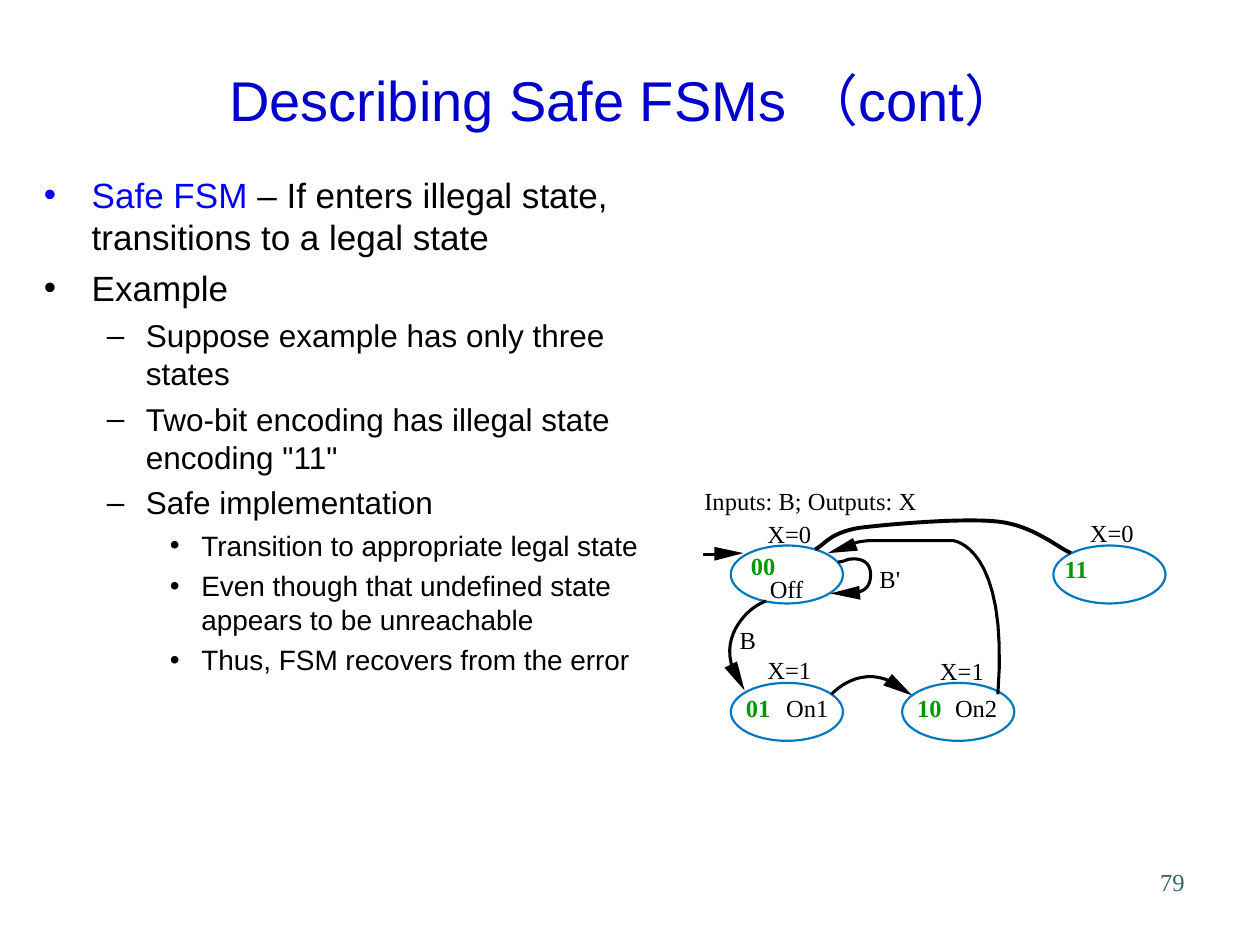
from dataclasses import dataclass

from lxml import etree
from pptx import Presentation
from pptx.dml.color import RGBColor
from pptx.enum.shapes import MSO_CONNECTOR, MSO_SHAPE
from pptx.enum.text import MSO_ANCHOR, PP_ALIGN
from pptx.oxml.ns import qn
from pptx.util import Inches, Pt

OVAL = MSO_SHAPE.OVAL
STRAIGHT = MSO_CONNECTOR.STRAIGHT
LEFT, CENTER, RIGHT = PP_ALIGN.LEFT, PP_ALIGN.CENTER, PP_ALIGN.RIGHT
TOP, MIDDLE = MSO_ANCHOR.TOP, MSO_ANCHOR.MIDDLE

BLACK = RGBColor(0x00, 0x00, 0x00)
TITLE_BLUE = RGBColor(0x00, 0x00, 0xCC)
TERM_BLUE = RGBColor(0x00, 0x00, 0xFF)
CODE_GREEN = RGBColor(0x00, 0x99, 0x00)
STATE_BLUE = RGBColor(0x00, 0x78, 0xC1)
NUMBER_TEAL = RGBColor(0x33, 0x66, 0x66)

TITLE_FONT = {"name": "Arial", "size": Pt(32), "color": TITLE_BLUE}
NUMBER_FONT = {"name": "Times New Roman", "size": Pt(14), "color": NUMBER_TEAL}
LABEL_FONT = {"name": "Times New Roman", "size": Pt(14), "color": BLACK}
CODE_FONT = {**LABEL_FONT, "color": CODE_GREEN, "bold": True}

STATE_WIDTH, STATE_HEIGHT = 0.89, 0.46
CURVE_STEPS = 16

Point = tuple[float, float]


@dataclass
class Level:
    bullet: str
    margin: float
    hanging: float
    size: float
    space_before: float


@dataclass
class Bullet:
    level: int
    text: str
    term: str = ""


@dataclass
class Label:
    left: float
    top: float
    width: float
    text: str


@dataclass
class State:
    left: float
    top: float
    code: Label
    name: Label | None
    output: Label


@dataclass
class Curve:
    """A start point followed by Bezier control points, three per segment."""
    points: list[Point]
    width: float = 1.75


LEVELS = [
    Level("•", 0.38, 0.38, 20, 5),
    Level("–", 0.81, 0.31, 18, 4.5),
    Level("•", 1.25, 0.25, 16, 4),
]

BULLETS = [
    Bullet(0, "– If enters illegal state, transitions to a legal state", "Safe FSM "),
    Bullet(0, "Example"),
    Bullet(1, "Suppose example has only three states"),
    Bullet(1, "Two-bit encoding has illegal state encoding \"11\""),
    Bullet(1, "Safe implementation"),
    Bullet(2, "Transition to appropriate legal state"),
    Bullet(2, "Even though that undefined state appears to be unreachable"),
    Bullet(2, "Thus, FSM recovers from the error"),
]

STATES = [
    State(5.8, 4.33, Label(5.96, 4.37, 0.2, "00"), Label(6.11, 4.56, 0.27, "Off"),
          Label(6.09, 4.12, 0.35, "X=0")),
    State(5.8, 5.42, Label(5.92, 5.5, 0.2, "01"), Label(6.24, 5.5, 0.34, "On1"),
          Label(6.09, 5.2, 0.35, "X=1")),
    State(7.16, 5.42, Label(7.28, 5.5, 0.2, "10"), Label(7.58, 5.5, 0.34, "On2"),
          Label(7.46, 5.21, 0.35, "X=1")),
    State(8.36, 4.33, Label(8.45, 4.4, 0.2, "11"), None,
          Label(8.65, 4.11, 0.35, "X=0")),
]

LABELS = [
    Label(5.59, 3.86, 1.69, "Inputs: B; Outputs: X"),
    Label(5.87, 4.96, 0.13, "B"),
    Label(6.98, 4.48, 0.17, "B'"),
]

CURVES = [
    # On1 to On2
    Curve([(6.6, 5.51), (6.6, 5.51), (6.84, 5.24), (7.14, 5.45)]),
    # Off to On1
    Curve([(5.85, 5.38), (5.67, 5.06), (5.96, 4.84), (5.96, 4.84),
           (5.96, 4.84), (6.02, 4.79), (6.08, 4.77)]),
    # Off to itself
    Curve([(6.65, 4.46), (6.68, 4.46), (6.71, 4.45), (6.73, 4.44),
           (6.86, 4.42), (6.91, 4.48), (6.91, 4.56),
           (6.91, 4.7), (6.81, 4.71), (6.69, 4.71)]),
    # On2 to Off
    Curve([(6.72, 4.34), (6.76, 4.31), (6.83, 4.29), (6.94, 4.29),
           (7.56, 4.29), (7.56, 4.29), (7.56, 4.29),
           (7.56, 4.29), (8.01, 4.32), (7.92, 5.51)]),
    # Illegal state to Off
    Curve([(8.5, 4.39), (8.4, 4.35), (8.2, 4.17), (7.92, 4.14),
           (7.64, 4.11), (7.06, 4.16), (6.82, 4.19),
           (6.58, 4.23), (6.54, 4.33), (6.47, 4.36)], 2.25),
]

ARROWHEADS: list[list[Point]] = [
    [(5.9, 4.39), (5.67, 4.34), (5.67, 4.45)],
    [(7.24, 5.52), (7.08, 5.35), (7.01, 5.44)],
    [(6.59, 4.71), (6.83, 4.76), (6.82, 4.65)],
    [(6.57, 4.39), (6.81, 4.37), (6.77, 4.27)],
    [(5.91, 5.48), (5.75, 5.3), (5.85, 5.25)],
]


def add_run(paragraph, text: str, font_format: dict) -> None:
    run = paragraph.add_run()
    run.text = text
    for name, value in font_format.items():
        if name == "color":
            run.font.color.rgb = value
        else:
            setattr(run.font, name, value)


def add_text(slide, box: tuple, text: str, font_format: dict,
             alignment=LEFT, anchor=TOP) -> None:
    frame = slide.shapes.add_textbox(*map(Inches, box)).text_frame
    frame.word_wrap = True
    frame.vertical_anchor = anchor
    frame.paragraphs[0].alignment = alignment
    add_run(frame.paragraphs[0], text, font_format)


def add_label(slide, label: Label, font_format: dict) -> None:
    shape = slide.shapes.add_textbox(
        Inches(label.left), Inches(label.top), Inches(label.width), Inches(0.23))
    frame = shape.text_frame
    frame.word_wrap = False
    for side in ("left", "top", "right", "bottom"):
        setattr(frame, f"margin_{side}", 0)
    add_run(frame.paragraphs[0], label.text, font_format)


def set_bullet(paragraph, level: Level, color: RGBColor) -> None:
    properties = paragraph._p.get_or_add_pPr()
    properties.set("marL", str(Inches(level.margin)))
    properties.set("indent", str(-Inches(level.hanging)))
    bullet_color = etree.SubElement(properties, qn("a:buClr"))
    etree.SubElement(bullet_color, qn("a:srgbClr"), val=str(color))
    etree.SubElement(properties, qn("a:buFont"), typeface="Arial")
    etree.SubElement(properties, qn("a:buChar"), char=level.bullet)


def add_bullets(slide, box: tuple, bullets: list[Bullet]) -> None:
    frame = slide.shapes.add_textbox(*map(Inches, box)).text_frame
    frame.word_wrap = True
    for index, bullet in enumerate(bullets):
        paragraph = frame.add_paragraph() if index else frame.paragraphs[0]
        level = LEVELS[bullet.level]
        set_bullet(paragraph, level, TERM_BLUE if bullet.term else BLACK)
        paragraph.level = bullet.level
        paragraph.space_before = Pt(level.space_before if index else 0)
        font_format = {"name": "Arial", "size": Pt(level.size), "color": BLACK}
        if bullet.term:
            add_run(paragraph, bullet.term, {**font_format, "color": TERM_BLUE})
        add_run(paragraph, bullet.text, font_format)


def add_outline(slide, points: list[Point], closed: bool):
    (start_x, start_y), *others = [(Inches(x), Inches(y)) for x, y in points]
    builder = slide.shapes.build_freeform(start_x, start_y)
    builder.add_line_segments(others, close=closed)
    shape = builder.convert_to_shape()
    shape.shadow.inherit = False
    return shape


def set_stroke(shape, color: RGBColor, width: float) -> None:
    shape.line.color.rgb = color
    shape.line.width = Pt(width)


def bezier_point(controls: list[Point], t: float) -> Point:
    weights = ((1 - t) ** 3, 3 * t * (1 - t) ** 2, 3 * t ** 2 * (1 - t), t ** 3)
    x, y = (sum(w * c for w, c in zip(weights, axis)) for axis in zip(*controls))
    return x, y


def add_curve(slide, curve: Curve) -> None:
    points = curve.points[:1]
    for first in range(0, len(curve.points) - 1, 3):
        controls = curve.points[first:first + 4]
        points += [bezier_point(controls, step / CURVE_STEPS)
                   for step in range(1, CURVE_STEPS + 1)]
    shape = add_outline(slide, points, closed=False)
    shape.fill.background()
    set_stroke(shape, BLACK, curve.width)


def add_arrowhead(slide, points: list[Point]) -> None:
    shape = add_outline(slide, points, closed=True)
    shape.fill.solid()
    shape.fill.fore_color.rgb = BLACK
    shape.line.fill.background()


def add_state(slide, state: State) -> None:
    shape = slide.shapes.add_shape(OVAL, Inches(state.left), Inches(state.top),
                                   Inches(STATE_WIDTH), Inches(STATE_HEIGHT))
    shape.shadow.inherit = False
    shape.fill.background()
    set_stroke(shape, STATE_BLUE, 1.25)
    add_label(slide, state.code, CODE_FONT)
    if state.name:
        add_label(slide, state.name, LABEL_FONT)
    add_label(slide, state.output, LABEL_FONT)


def main() -> None:
    presentation = Presentation()
    presentation.slide_width, presentation.slide_height = Inches(10), Inches(7.5)
    slide = presentation.slides.add_slide(presentation.slide_layouts[6])

    # Page number, title and bullets
    add_text(slide, (7.42, 6.83, 2.08, 0.5), "79", NUMBER_FONT, RIGHT)
    add_text(slide, (0.25, 0.33, 9.42, 0.92), "Describing Safe FSMs （cont）",
             TITLE_FONT, CENTER, MIDDLE)
    add_bullets(slide, (0.25, 1.33, 5.26, 5.51), BULLETS)

    # State diagram
    for state in STATES:
        add_state(slide, state)
    for label in LABELS:
        add_label(slide, label, LABEL_FONT)
    for curve in CURVES:
        add_curve(slide, curve)
    for points in ARROWHEADS:
        add_arrowhead(slide, points)

    # Entry into the initial state
    entry = slide.shapes.add_connector(
        STRAIGHT, Inches(5.58), Inches(4.4), Inches(5.74), Inches(4.4))
    set_stroke(entry, BLACK, 1.75)
    etree.SubElement(entry._element.spPr, qn("a:effectLst"))

    presentation.save("out.pptx")


if __name__ == "__main__":
    main()
